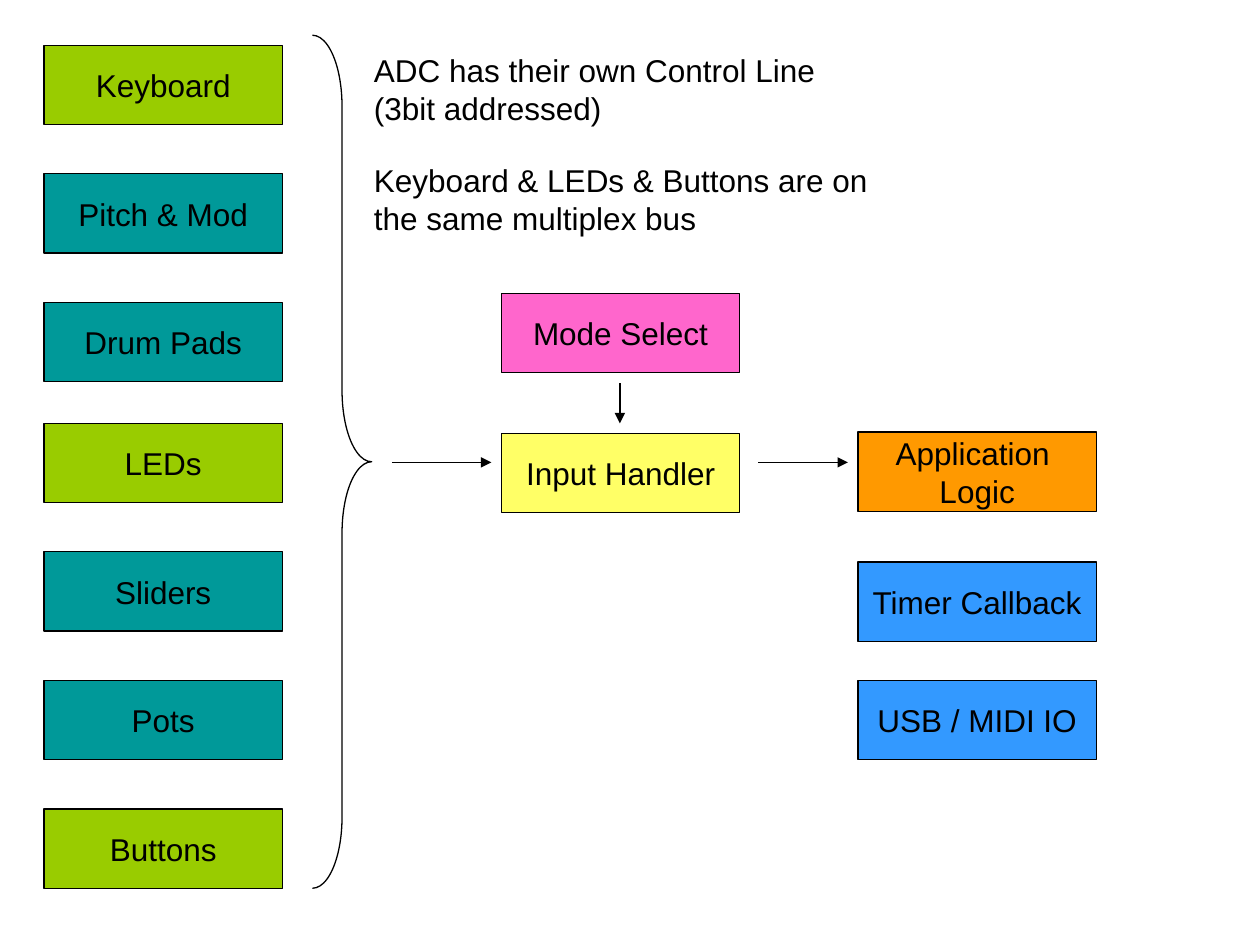
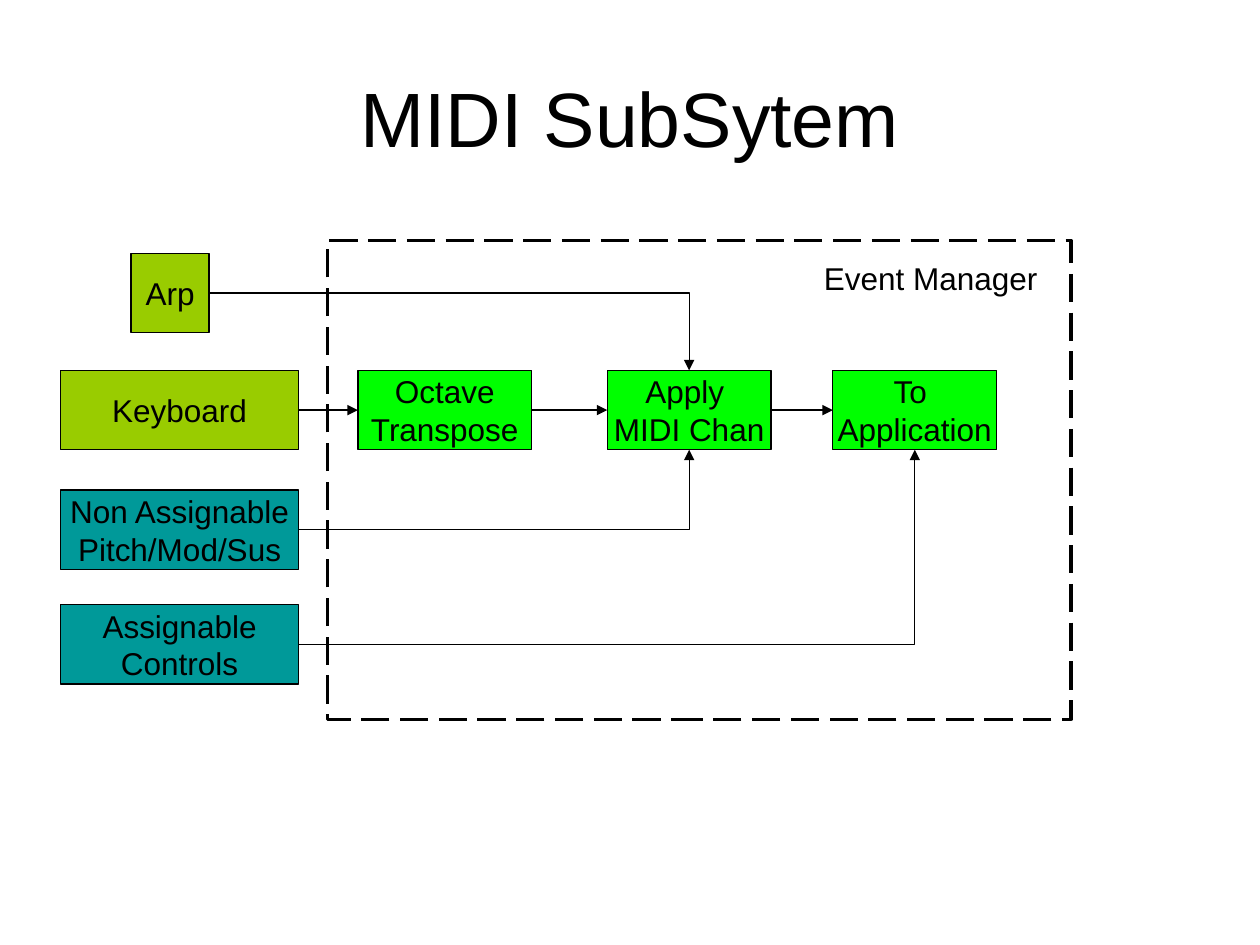
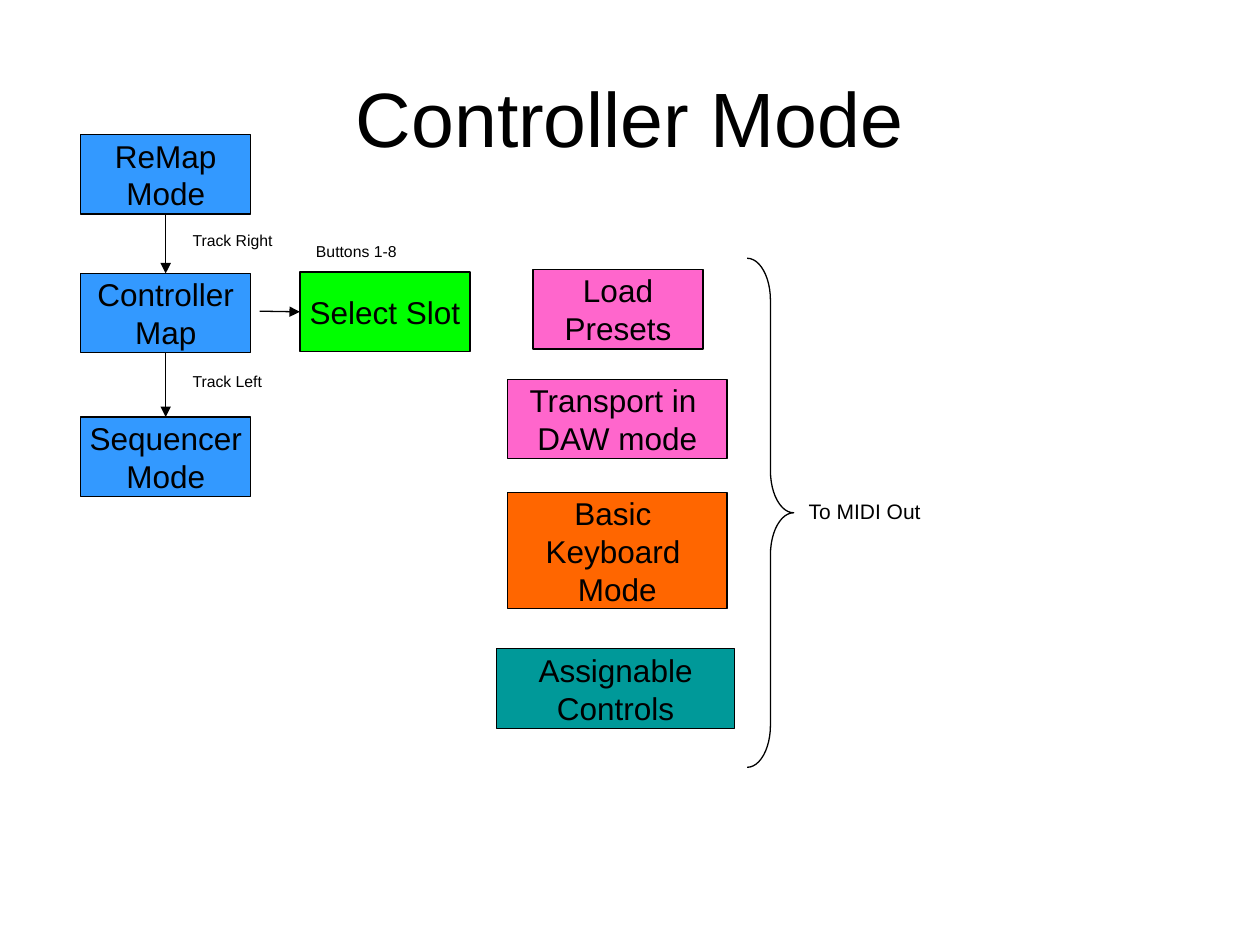
from dataclasses import dataclass

from lxml import etree
from pptx import Presentation
from pptx.dml.color import RGBColor
from pptx.enum.dml import MSO_LINE
from pptx.enum.shapes import MSO_CONNECTOR, MSO_SHAPE
from pptx.enum.text import MSO_ANCHOR, MSO_AUTO_SIZE, PP_ALIGN
from pptx.oxml.ns import qn
from pptx.util import Inches, Pt

RECTANGLE, BRACE = MSO_SHAPE.RECTANGLE, MSO_SHAPE.RIGHT_BRACE
STRAIGHT, ELBOW = MSO_CONNECTOR.STRAIGHT, MSO_CONNECTOR.ELBOW
MIDDLE, CENTER = MSO_ANCHOR.MIDDLE, PP_ALIGN.CENTER
FIT_TEXT = MSO_AUTO_SIZE.SHAPE_TO_FIT_TEXT
LONG_DASH = MSO_LINE.LONG_DASH
TOP, LEFT, BOTTOM, RIGHT = range(4)
TITLE_ONLY, BLANK = 5, 6


@dataclass(frozen=True)
class Theme:
    font: str = "Arial"
    ink: str = "000000"
    lime: str = "99CC00"
    teal: str = "009999"
    yellow: str = "FFFF66"
    pink: str = "FF66CC"
    amber: str = "FF9900"
    orange: str = "FF6600"
    blue: str = "3399FF"
    green: str = "00FF00"
    title_size: int = 44
    text_size: int = 18
    note_size: int = 12
    label_size: int = 9
    thin: float = 0.75
    thick: float = 2
    space_ratio: float = 0.62
    box_width: float = 1.89
    box_height: float = 0.63


THEME = Theme()


class Board:
    """Draws diagram elements on the current slide in one style."""

    def __init__(self, deck, theme):
        self.deck, self.theme, self.slide = deck, theme, None

    def new_slide(self, title=None):
        layout = self.deck.slide_layouts[TITLE_ONLY if title else BLANK]
        self.slide = self.deck.slides.add_slide(layout)
        if title:
            holder = self.slide.shapes.title
            holder.left, holder.top, holder.width, holder.height = map(
                Inches, (0.5, 0.3, 9, 1.25))
            self.set_text(holder.text_frame, title, self.theme.title_size,
                          {"alignment": CENTER}, {"vertical_anchor": MIDDLE})

    def set_text(self, frame, text, size, para_format, frame_format):
        """Fill a text frame: \\n starts a paragraph, \\v breaks a line."""
        frame.text = text
        font_format = {"name": self.theme.font, "size": Pt(size)}
        self.apply(frame, frame_format)
        for para in frame.paragraphs:
            self.apply(para, para_format)
            for span in para.runs:
                self.apply(span.font, font_format)
                span.font.color.rgb = RGBColor.from_string(self.theme.ink)

    @staticmethod
    def apply(target, values):
        for name, value in values.items():
            setattr(target, name, value)

    def stroke(self, line, width):
        line.color.rgb = RGBColor.from_string(self.theme.ink)
        line.width = Pt(width)

    def shape(self, kind, left, top, width, height, fill=None, stroke=None):
        shape = self.slide.shapes.add_shape(
            kind, *map(Inches, (left, top, width, height)))
        shape.shadow.inherit = False
        if fill:
            shape.fill.solid()
            shape.fill.fore_color.rgb = RGBColor.from_string(fill)
        else:
            shape.fill.background()
        self.stroke(shape.line, stroke or self.theme.thin)
        return shape

    def box(self, text, fill, left, top, width=None, height=None):
        box = self.shape(RECTANGLE, left, top, width or self.theme.box_width,
                         height or self.theme.box_height, fill)
        self.set_text(box.text_frame, text, self.theme.text_size,
                      {"alignment": CENTER},
                      {"vertical_anchor": MIDDLE, "word_wrap": False})
        return box

    def note(self, text, left, top, width, height, size):
        note = self.slide.shapes.add_textbox(
            *map(Inches, (left, top, width, height)))
        self.set_text(note.text_frame, text, size,
                      {"space_before": Pt(size * self.theme.space_ratio)},
                      {"word_wrap": True, "auto_size": FIT_TEXT})

    def frame(self, left, top, width, height):
        frame = self.shape(RECTANGLE, left, top, width, height,
                           stroke=self.theme.thick)
        frame.line.dash_style = LONG_DASH

    def brace(self, left, top, width, height, curve):
        self.shape(BRACE, left, top, width, height).adjustments[0] = curve

    @staticmethod
    def locate(end):
        """Position of an end: a pair of inches or a (box, side) pair."""
        box, side = end
        if not hasattr(box, "shape_id"):
            return Inches(box), Inches(side)
        across = {LEFT: 0, RIGHT: box.width}.get(side, box.width // 2)
        down = {TOP: 0, BOTTOM: box.height}.get(side, box.height // 2)
        return box.left + across, box.top + down

    def arrow(self, start, end, kind=STRAIGHT):
        arrow = self.slide.shapes.add_connector(
            kind, *self.locate(start), *self.locate(end))
        properties = arrow._element.spPr
        if kind == ELBOW:  # one corner only
            properties.find(qn("a:prstGeom")).set("prst", "bentConnector2")
        for connect, (box, side) in ((arrow.begin_connect, start),
                                     (arrow.end_connect, end)):
            if hasattr(box, "shape_id"):
                connect(box, side)
        self.stroke(arrow.line, self.theme.thin)
        etree.SubElement(properties.find(qn("a:ln")), qn("a:tailEnd"),
                         type="triangle")
        etree.SubElement(properties, qn("a:effectLst"))


def input_overview(board):
    theme = board.theme
    board.new_slide()

    # Input sources, in two evenly spaced groups
    lime, teal = theme.lime, theme.teal
    groups = (
        (0.36, (("Keyboard", lime), ("Pitch & Mod", teal),
                ("Drum Pads", teal))),
        (3.36, (("LEDs", lime), ("Sliders", teal), ("Pots", teal),
                ("Buttons", lime))),
    )
    for top, sources in groups:
        for row, (name, fill) in enumerate(sources):
            board.box(name, fill, 0.35, top + row * 1.02)
    board.brace(2.48, 0.28, 0.47, 6.77, 1.2)

    # Remarks about the wiring
    for top, remark in (
            (0.36, "ADC has their own Control Line (3bit addressed)"),
            (1.23, "Keyboard & LEDs & Buttons are on the same multiplex bus")):
        board.note(remark, 2.87, top, 4.17, 0.7, theme.text_size)

    # Handling chain
    board.box("Mode Select", theme.pink, 3.98, 2.33)
    board.box("Input Handler", theme.yellow, 3.98, 3.44)
    for name, fill, top in (("Application \nLogic", theme.amber, 3.43),
                            ("Timer Callback", theme.blue, 4.46),
                            ("USB / MIDI IO", theme.blue, 5.4)):
        board.box(name, fill, 6.81, top)
    for start, end in (((3.11, 3.67), (3.9, 3.67)),
                       ((4.92, 3.04), (4.92, 3.36)),
                       ((6.02, 3.67), (6.73, 3.67))):
        board.arrow(start, end)


def midi_subsystem(board):
    theme = board.theme
    board.new_slide("MIDI SubSytem")

    # Sources
    arp = board.box("Arp", theme.lime, 1.04, 2.01, 0.62)
    keyboard, fixed, assignable = (
        board.box(name, fill, 0.48, top) for name, fill, top in (
            ("Keyboard", theme.lime, 2.94),
            ("Non Assignable\vPitch/Mod/Sus", theme.teal, 3.89),
            ("Assignable\vControls", theme.teal, 4.8)))

    # Event stages
    transpose, channel, application = (
        board.box(name, theme.green, left, 2.94, width)
        for name, left, width in (("Octave\vTranspose", 2.84, 1.38),
                                  ("Apply \vMIDI Chan", 4.82, 1.3),
                                  ("To \nApplication", 6.61, 1.3)))

    # Signal flow
    stages = (keyboard, transpose, channel, application)
    for source, target in zip(stages, stages[1:]):
        board.arrow((source, RIGHT), (target, LEFT))
    for source, target, side in ((arp, channel, TOP),
                                 (fixed, channel, BOTTOM),
                                 (assignable, application, BOTTOM)):
        board.arrow((source, RIGHT), (target, side), ELBOW)

    # Event manager boundary
    board.frame(2.6, 1.91, 5.9, 3.8)
    board.note("Event Manager", 6.44, 2.01, 2.36, 0.4, theme.text_size)


def controller_mode(board):
    theme = board.theme
    board.new_slide("Controller Mode")

    # Mode chain
    modes = [board.box(name, theme.blue, 0.64, top, 1.35)
             for name, top in (("ReMap\nMode", 1.07),
                               ("Controller\nMap", 2.17),
                               ("Sequencer\nMode", 3.31))]
    for source, target in zip(modes, modes[1:]):
        board.arrow((source, BOTTOM), (target, TOP))
    slot = board.box("Select Slot", theme.green, 2.38, 2.16, 1.35)
    board.arrow((2.06, 2.47), (slot, LEFT))
    for text, left, top, width in (("Track Right", 1.43, 1.78, 1.87),
                                   ("Track Left", 1.43, 2.9, 1.87),
                                   ("Buttons 1-8", 2.41, 1.87, 0.87)):
        board.note(text, left, top, width, 0.25, theme.label_size)

    # Functions that feed the output
    board.box("Load\nPresets", theme.pink, 4.23, 2.14, 1.35)
    board.box("Transport in \nDAW mode", theme.pink, 4.03, 3.01, 1.74)
    board.box("Basic \nKeyboard \nMode", theme.orange, 4.03, 3.91, 1.74, 0.92)
    board.box("Assignable\vControls", theme.teal, 3.94, 5.15)
    board.brace(5.93, 2.05, 0.37, 4.04, 0.9)
    board.note("To MIDI Out", 6.32, 3.91, 1.15, 0.3, theme.note_size)


def main():
    deck = Presentation()
    deck.slide_width, deck.slide_height = Inches(10), Inches(7.5)
    board = Board(deck, THEME)
    for draw in (input_overview, midi_subsystem, controller_mode):
        draw(board)
    deck.save("out.pptx")


if __name__ == "__main__":
    main()
